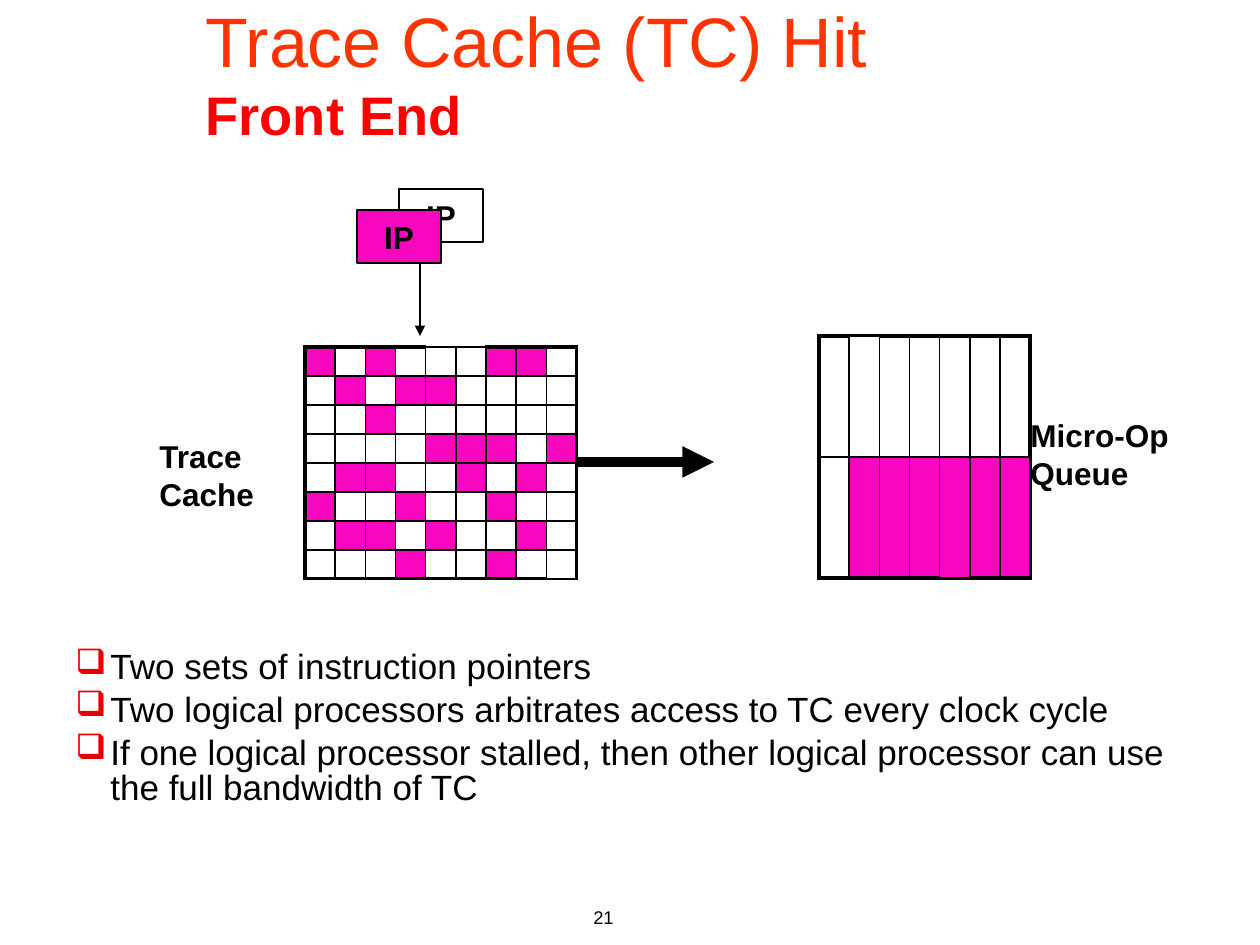
import pptx
import pptx.dml.color
import pptx.enum.shapes
import pptx.enum.text
import pptx.oxml
import pptx.oxml.ns
import pptx.oxml.xmlchemy
import pptx.util
from lxml import etree

PX = 914400 / 126
FONT = "Arial"
COLORS = {"black": "000000", "white": "FFFFFF", "pink": "F907BF",
          "title": "FF3300", "subtitle": "FF0000", "bullet": "E40000"}
ALIGN = pptx.enum.text.PP_ALIGN
ANCHOR = pptx.enum.text.MSO_ANCHOR
THIN, THICK = 1, 2.25

# X marks a pink cell, a dot a white one and a space a clear one.
TRACE_CELLS = ["X.X...XX.", ".X.XX....", "..X......", "....XXX.X",
               ".XX..X.X.", "X..X..X..", ".XX.X..X.", "...X..X.."]
QUEUE_CELLS = [" ......", " XXXXXX"]
FILLS = {"X": "pink", ".": "white"}
# Outer edges that stay thin: (row, column, side)
TRACE_THIN = {(0, 4, "T"), (0, 5, "T"), (7, 8, "B")}
QUEUE_THIN = {(0, 1, "T"), (1, 4, "B"), (1, 6, "R")}

BULLETS = [
    "Two sets of instruction pointers",
    "Two logical processors arbitrates access to TC every clock cycle",
    "If one logical processor stalled, then other logical processor can use "
    "the full bandwidth of TC",
]


def emu(*lengths):
    return [pptx.util.Emu(round(n * PX)) for n in lengths]


def rgb(name):
    return pptx.dml.color.RGBColor.from_string(COLORS[name])


def sub(parent, tag, **attrs):
    return etree.SubElement(parent, pptx.oxml.ns.qn(tag),
                            {k: str(v) for k, v in attrs.items()})


def set_all(obj, values):
    for key, value in values.items():
        setattr(obj, key, value)


def add_run(p, text, size, color="black", bold=False):
    r = p.add_run()
    r.text = text
    set_all(r.font, {"name": FONT, "size": pptx.util.Pt(size), "bold": bold})
    r.font.color.rgb = rgb(color)
    return r


def add_text_shadow(r):
    """Put a soft grey shadow behind the letters of a run."""
    effects = etree.Element(pptx.oxml.ns.qn("a:effectLst"))
    shadow = sub(effects, "a:outerShdw", blurRad=38100, dist=38100, dir=2700000)
    sub(shadow, "a:srgbClr", val="C0C0C0")
    r._r.get_or_add_rPr().find(pptx.oxml.ns.qn("a:solidFill")).addnext(effects)


def add_textbox(slide, *box):
    tf = slide.shapes.add_textbox(*emu(*box)).text_frame
    tf.word_wrap = True
    return tf


def add_title(slide):
    sp = slide.shapes.title
    set_all(sp, dict(zip(("left", "top", "width", "height"), emu(193, 0, 1004, 144))))
    sp.fill.solid()
    sp.fill.fore_color.rgb = rgb("white")
    tf = sp.text_frame
    set_all(tf, {"vertical_anchor": ANCHOR.MIDDLE, "word_wrap": True,
                 "auto_size": pptx.enum.text.MSO_AUTO_SIZE.NONE})
    p = tf.paragraphs[0]
    set_all(p, {"alignment": ALIGN.LEFT, "line_spacing": 1.0})
    add_run(p, "Trace Cache (TC) Hit", 40, "title")
    p.add_line_break()
    add_run(p, "Front End", 31, "subtitle", True)


def add_bullets(slide):
    tf = add_textbox(slide, 63, 645, 1134, 252)
    for i, text in enumerate(BULLETS):
        p = tf.add_paragraph() if i else tf.paragraphs[0]
        p.line_spacing = 0.85
        if i:
            p.space_before = pptx.util.Pt(4)
        pPr = p._p.get_or_add_pPr()
        indent = emu(35)[0]
        pPr.set("marL", str(indent))
        pPr.set("indent", str(-indent))
        sub(sub(pPr, "a:buClr"), "a:srgbClr", val=COLORS["bullet"])
        sub(pPr, "a:buChar", char="❑")
        add_run(p, text, 20)


def add_label(slide, text, *box):
    tf = add_textbox(slide, *box)
    add_text_shadow(add_run(tf.paragraphs[0], text, 18, bold=True))


def add_pointer(slide, left, top, fill):
    sp = slide.shapes.add_shape(pptx.enum.shapes.MSO_SHAPE.RECTANGLE,
                                *emu(left, top, 84, 53))
    sp.shadow.inherit = False
    sp.fill.solid()
    sp.fill.fore_color.rgb = rgb(fill)
    sp.line.color.rgb = rgb("black")
    sp.line.width = pptx.util.Pt(1)
    tf = sp.text_frame
    set_all(tf, {"vertical_anchor": ANCHOR.MIDDLE, "word_wrap": False})
    tf.paragraphs[0].alignment = ALIGN.CENTER
    add_run(tf.paragraphs[0], "IP", 18, bold=True)


def add_arrow(slide, x1, y1, x2, y2, width):
    c = slide.shapes.add_connector(pptx.enum.shapes.MSO_CONNECTOR.STRAIGHT,
                                   *emu(x1, y1, x2, y2))
    c.line.color.rgb = rgb("black")
    c.line.width = pptx.util.Pt(width)
    sub(c.line._get_or_add_ln(), "a:tailEnd", type="triangle")
    sub(c._element.spPr, "a:effectLst")


def format_cell(cell, fill, thick_sides):
    set_all(cell, {"margin_top": 0, "margin_bottom": 0})
    sub(cell.text_frame.paragraphs[0]._p, "a:endParaRPr", sz=600)
    if fill:
        cell.fill.solid()
        cell.fill.fore_color.rgb = rgb(fill)
    else:
        cell.fill.background()
    tcPr = cell._tc.get_or_add_tcPr()
    for i, side in enumerate("LRTB"):
        width = pptx.util.Pt(THICK if side in thick_sides else THIN)
        ln = etree.Element(pptx.oxml.ns.qn("a:ln" + side), w=str(int(width)))
        sub(sub(ln, "a:solidFill"), "a:srgbClr", val=COLORS["black"])
        tcPr.insert(i, ln)


def add_grid(slide, left, top, row_height, cells, thin=()):
    """Draw a table with a thick frame, except at the edges listed in thin."""
    n_rows, n_cols, col_width = len(cells), len(cells[0]), 29
    table = slide.shapes.add_table(
        n_rows, n_cols,
        *emu(left, top, n_cols * col_width, n_rows * row_height)).table
    set_all(table, {"first_row": False, "horz_banding": False})
    for column in table.columns:
        column.width = emu(col_width)[0]
    for row, marks in enumerate(cells):
        table.rows[row].height = emu(row_height)[0]
        for col, mark in enumerate(marks):
            outer = {"L": col == 0, "R": col == n_cols - 1,
                     "T": row == 0, "B": row == n_rows - 1}
            thick = {s for s in outer if outer[s] and (row, col, s) not in thin}
            format_cell(table.cell(row, col), FILLS.get(mark), thick)


def main():
    prs = pptx.Presentation()
    prs.slide_width, prs.slide_height = emu(1260, 945)
    slide = prs.slides.add_slide(prs.slide_layouts[5])

    add_title(slide)
    add_bullets(slide)

    for cells in (TRACE_CELLS, [" " * 9] * 8):
        add_grid(slide, 305, 347, 29, cells, TRACE_THIN)
    add_pointer(slide, 399, 189, "white")
    add_pointer(slide, 357, 210, "pink")
    add_arrow(slide, 420, 263, 420, 336, 1)

    add_grid(slide, 819, 336, 242, [" " * 7])
    add_grid(slide, 819, 336, 121, QUEUE_CELLS, QUEUE_THIN)
    add_arrow(slide, 577, 462, 714, 462, 6)

    add_label(slide, "Trace Cache", 147, 431, 126, 88)
    add_label(slide, "Micro-Op Queue", 1018, 410, 210, 88)

    p = add_textbox(slide, 364, 900, 262, 63).paragraphs[0]
    p.alignment = ALIGN.RIGHT
    add_run(p, "21", 10.5)
    prs.save("out.pptx")


if __name__ == "__main__":
    main()
